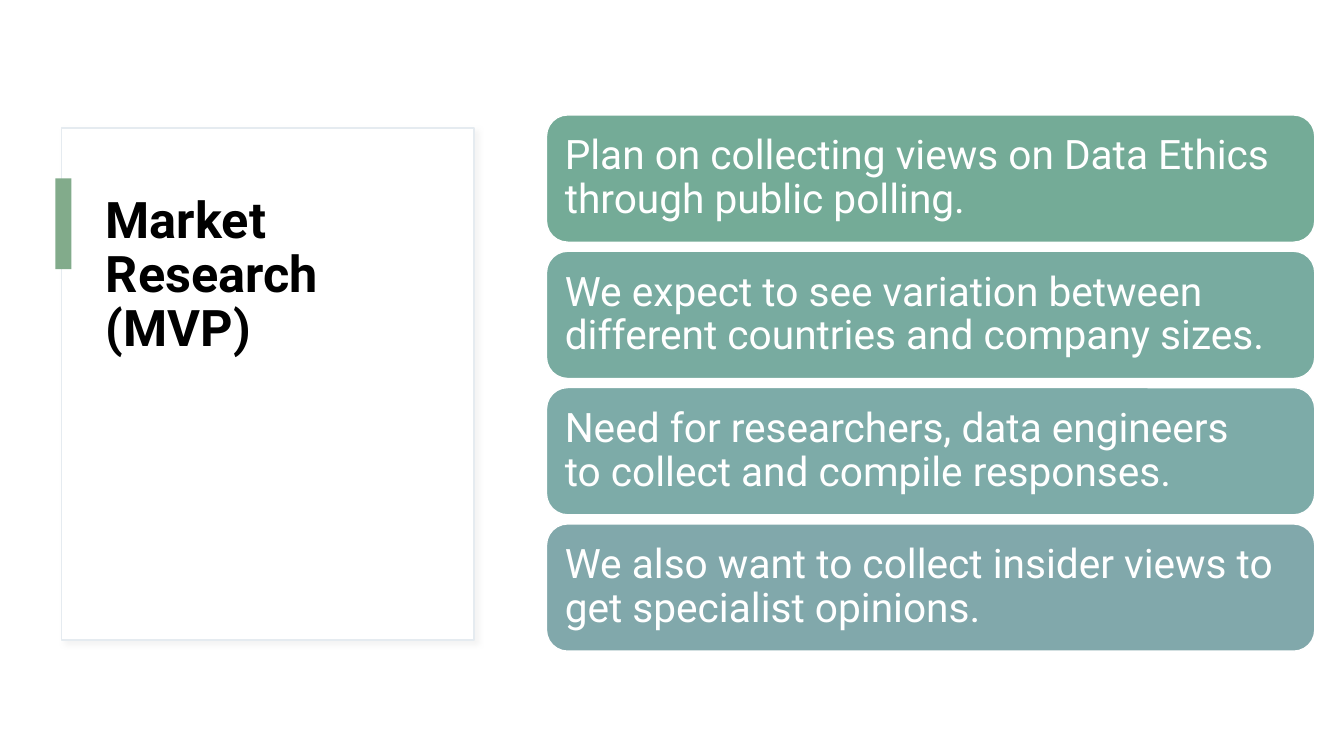
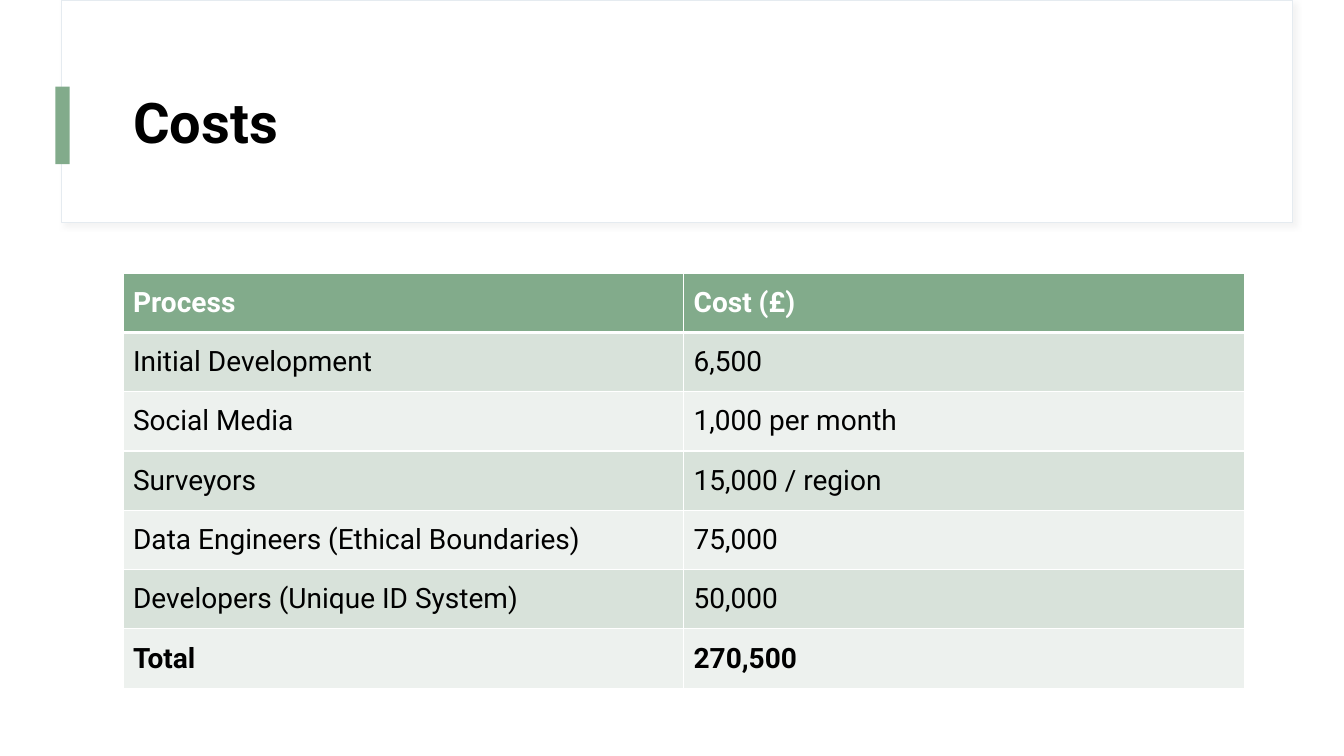
from lxml import etree
from pptx import Presentation
from pptx import util as u
from pptx.dml.color import RGBColor
from pptx.enum import shapes, text
from pptx.oxml import ns, parse_xml

FONT = "Roboto"
BLACK, WHITE, GREEN, OUTLINE, SHADOW = "000000", "FFFFFF", "82AB8B", "E5EBF0", "D9D9D9"
BANDS = ["D8E2DA", "EDF1EE"]

POINTS = [
    ("Plan on collecting views on Data Ethics through public polling.", "74AB97"),
    ("We expect to see variation between different countries and company sizes.", "78ABA0"),
    ("Need for researchers, data engineers to\u00a0collect and compile responses.", "7DABA8"),
    ("We also want to collect insider views to get specialist opinions.", "81A8AB"),
]
COSTS = [
    ("Process", "Cost (£)"),
    ("Initial Development", "6,500"),
    ("Social Media", "1,000 per month"),
    ("Surveyors", "15,000 / region"),
    ("Data Engineers (Ethical Boundaries)", "75,000"),
    ("Developers (Unique ID System)", "50,000"),
    ("Total", "270,500"),
]


def color(value):
    """Turn a hex string into a colour."""
    return RGBColor.from_string(value)


def inches(box):
    """Turn a box of left, top, width and height into lengths."""
    return [u.Inches(length) for length in box]


def paint(target, fill):
    """Give a shape or cell a solid fill."""
    target.fill.solid()
    target.fill.fore_color.rgb = color(fill)


def write(frame, words, size, ink, bold=False, spacing=None):
    """Write one left-aligned run into a text frame."""
    paragraph = frame.paragraphs[0]
    paragraph.alignment = text.PP_ALIGN.LEFT
    paragraph.line_spacing = spacing
    run = paragraph.add_run()
    run.text = words
    run.font.name = FONT
    run.font.size = u.Pt(size)
    run.font.bold = bold
    run.font.color.rgb = color(ink)


def add_block(slide, box, fill, line=None, width=1, kind=shapes.MSO_SHAPE.RECTANGLE):
    """Add a filled preset shape without the theme's shadow."""
    shape = slide.shapes.add_shape(kind, *inches(box))
    shape.shadow.inherit = False
    paint(shape, fill)
    if line:
        shape.line.color.rgb = color(line)
        shape.line.width = u.Pt(width)
    else:
        shape.line.fill.background()
    return shape


def add_panel(slide, box, line_width):
    """Add a white outlined panel with a soft shadow."""
    panel = add_block(slide, box, WHITE, OUTLINE, line_width)
    effects = panel.element.spPr.find(ns.qn("a:effectLst"))
    effects.append(parse_xml(
        f'<a:outerShdw {ns.nsdecls("a")} blurRad="{u.Pt(4)}" dist="{u.Pt(3)}" dir="2700000" '
        f'algn="tl" rotWithShape="0"><a:srgbClr val="{SHADOW}"><a:alpha val="30000"/>'
        '</a:srgbClr></a:outerShdw>'))


def add_heading(slide, words, box, size, anchor):
    """Place the title in front of its panel and format it."""
    title = slide.shapes.title
    title.left, title.top, title.width, title.height = inches(box)
    slide.shapes.element.append(title.element)
    frame = title.text_frame
    frame.word_wrap = True
    frame.auto_size = text.MSO_AUTO_SIZE.NONE
    frame.vertical_anchor = anchor
    write(frame, words, size, BLACK, True, 0.9)


def add_cards(slide, box, points, gap=0.09):
    """Stack equal rounded cards in the box."""
    left, top, width, height = box
    card_height = (height - gap * (len(points) - 1)) / len(points)
    for index, (words, fill) in enumerate(points):
        card_box = (left, top + index * (card_height + gap), width, card_height)
        card = add_block(slide, card_box, fill, WHITE,
                         kind=shapes.MSO_SHAPE.ROUNDED_RECTANGLE)
        frame = card.text_frame
        frame.word_wrap = True
        frame.vertical_anchor = text.MSO_ANCHOR.MIDDLE
        frame.margin_left = frame.margin_right = u.Inches(0.12)
        frame.margin_top = frame.margin_bottom = u.Inches(0.12)
        write(frame, words, 29, WHITE, spacing=0.9)


def add_borders(cell, **widths):
    """Draw white borders, in points, ahead of the cell's fill."""
    properties = cell._tc.get_or_add_tcPr()
    for position, (side, width) in enumerate(widths.items()):
        border = etree.Element(ns.qn(f"a:ln{side}"), w=str(u.Pt(width)))
        fill = etree.SubElement(border, ns.qn("a:solidFill"))
        etree.SubElement(fill, ns.qn("a:srgbClr"), val=WHITE)
        properties.insert(position, border)


def add_cost_table(slide, box, rows):
    """Fill the box with a banded table that has a header and a total."""
    columns = len(rows[0])
    table = slide.shapes.add_table(len(rows), columns, *inches(box)).table
    for row_index, row in enumerate(rows):
        header, total = row_index == 0, row_index == len(rows) - 1
        table.rows[row_index].height = u.Inches(box[3] / len(rows))
        for column_index, words in enumerate(row):
            cell = table.cell(row_index, column_index)
            cell.vertical_anchor = text.MSO_ANCHOR.MIDDLE
            paint(cell, GREEN if header else BANDS[(row_index - 1) % 2])
            write(cell.text_frame, words, 20, WHITE if header else BLACK, header or total)
            add_borders(cell, L=1, R=1, T=3 if row_index == 1 else 1, B=3 if header else 1)


def add_slide(presentation):
    """Add a title-only slide."""
    return presentation.slides.add_slide(presentation.slide_layouts[5])


def build_research(presentation):
    """Build the slide with a side panel and stacked cards."""
    slide = add_slide(presentation)
    add_panel(slide, (0.61, 1.27, 4.09, 5.08), 1)
    add_block(slide, (0.55, 1.77, 0.16, 0.9), GREEN)
    add_heading(slide, "Market Research (MVP)", (0.95, 1.88, 3.39, 3.85), 36,
                text.MSO_ANCHOR.TOP)
    add_cards(slide, (5.42, 1.14, 7.62, 5.32), POINTS)


def build_costs(presentation):
    """Build the slide with a top panel and the cost table."""
    slide = add_slide(presentation)
    add_panel(slide, (0.61, 0, 12.21, 2.21), 0.75)
    add_block(slide, (0.55, 0.86, 0.14, 0.77), GREEN)
    add_heading(slide, "Costs", (1.22, 0.6, 11.12, 1.29), 40, text.MSO_ANCHOR.MIDDLE)
    add_cost_table(slide, (1.22, 2.71, 11.12, 4.12), COSTS)


def main():
    """Build and save the presentation."""
    presentation = Presentation()
    presentation.slide_width, presentation.slide_height = inches((13.33, 7.5))
    build_research(presentation)
    build_costs(presentation)
    presentation.save("out.pptx")


main()
